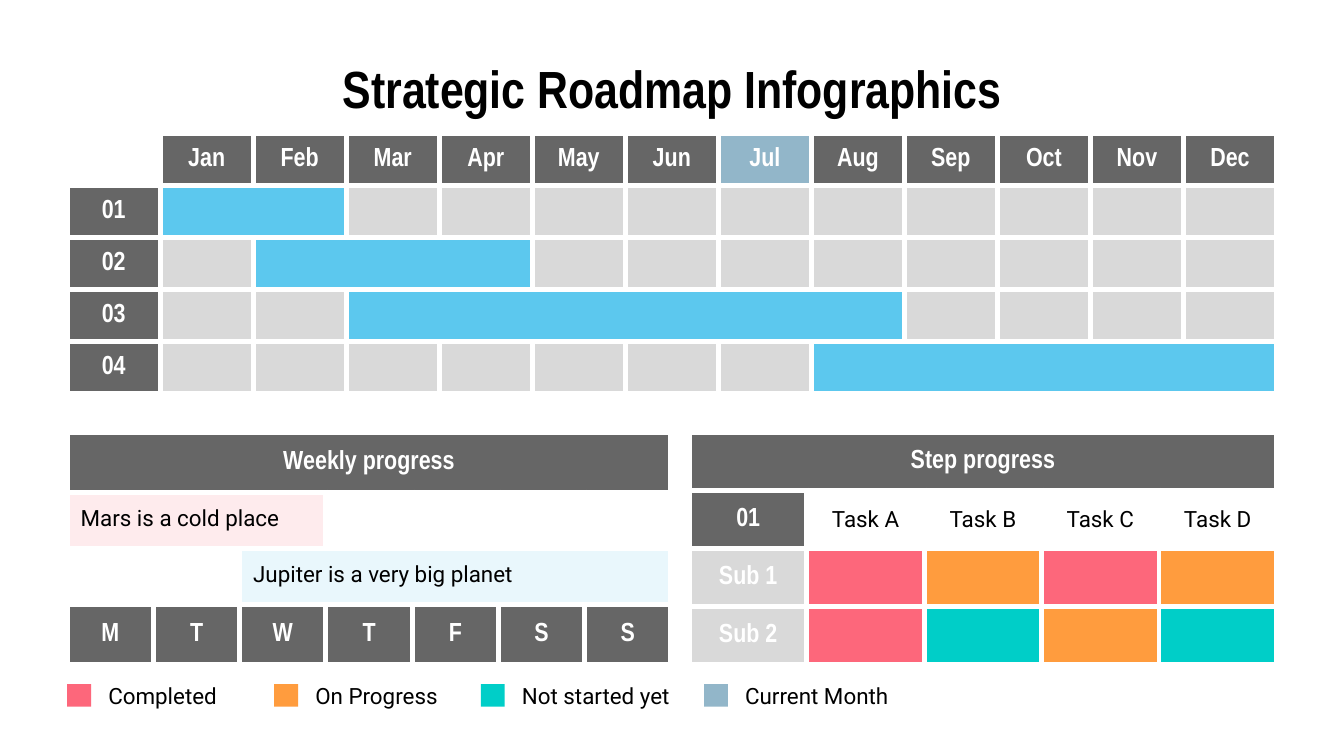
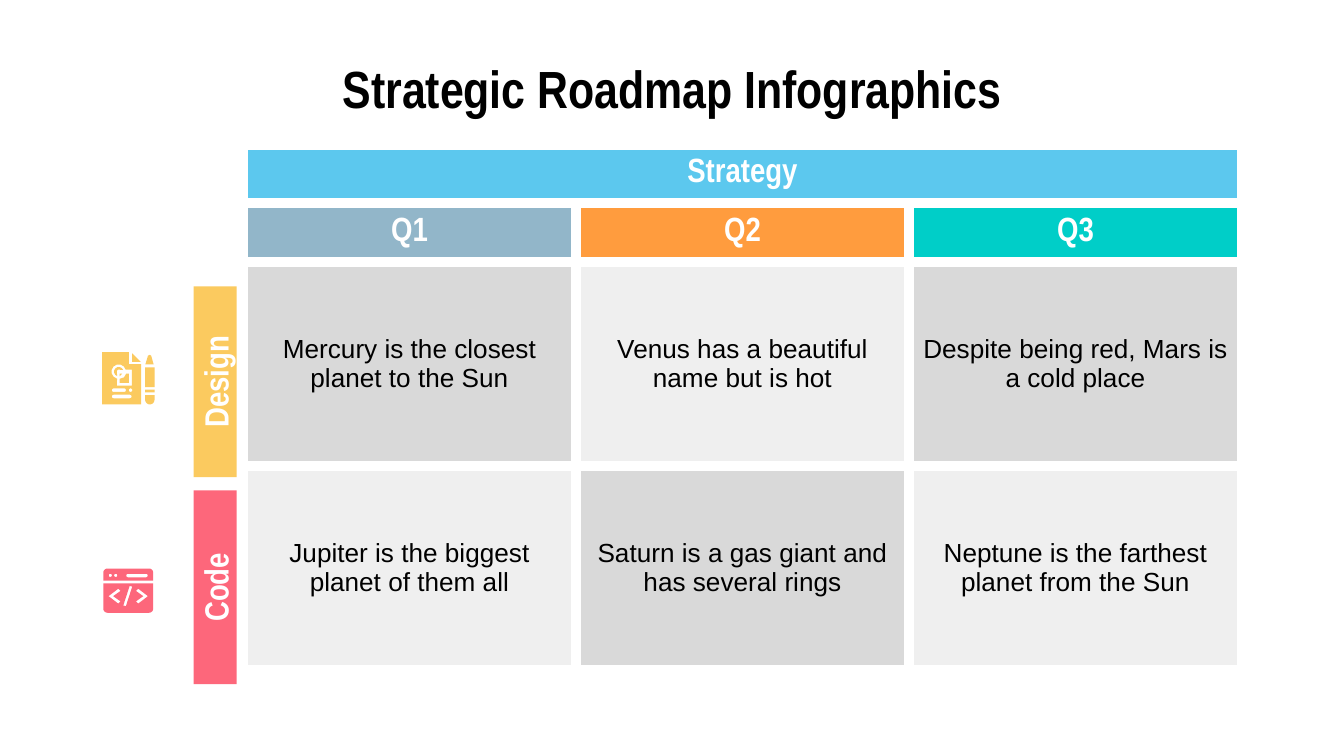
"""Build two slides of a yearly roadmap and a quarterly strategy grid."""
import math
from dataclasses import dataclass
from typing import NamedTuple, Optional

import lxml.etree
import pptx
import pptx.dml.color
import pptx.enum.shapes
import pptx.enum.text
import pptx.oxml
import pptx.oxml.ns
import pptx.util

Pt = pptx.util.Pt
RGBColor = pptx.dml.color.RGBColor
Align = pptx.enum.text.PP_ALIGN
Anchor = pptx.enum.text.MSO_ANCHOR
Preset = pptx.enum.shapes.MSO_SHAPE

WHITE = RGBColor(0xFF, 0xFF, 0xFF)
BLACK = RGBColor(0x00, 0x00, 0x00)
DARK = RGBColor(0x66, 0x66, 0x66)
GREY = RGBColor(0xD9, 0xD9, 0xD9)
PALE = RGBColor(0xEF, 0xEF, 0xEF)
SKY = RGBColor(0x5C, 0xC8, 0xEE)
STEEL = RGBColor(0x92, 0xB6, 0xC9)
PINK = RGBColor(0xFD, 0x67, 0x7B)
ORANGE = RGBColor(0xFF, 0x9C, 0x3E)
TEAL = RGBColor(0x00, 0xCE, 0xC8)
YELLOW = RGBColor(0xFB, 0xCA, 0x5F)

INSET = 7.2
MONTHS = "Jan Feb Mar Apr May Jun Jul Aug Sep Oct Nov Dec".split()

Point = tuple[float, float]
Outline = list[Point]


class Look(NamedTuple):
    font: str
    size: float
    color: RGBColor
    bold: bool = False


TITLE = Look("Arial Narrow", 28, BLACK, True)
HEAD = Look("Arial Narrow", 14, WHITE, True)
LARGE = Look("Arial Narrow", 18, WHITE, True)
NOTE = Look("Roboto", 12, BLACK)
BODY = Look("Arial", 14, BLACK)


class Box(NamedTuple):
    left: float
    top: float
    width: float
    height: float


@dataclass
class Cell:
    text: str = ""
    fill: Optional[RGBColor] = None
    look: Look = HEAD
    span: int = 1
    alpha: int = 100
    align: Align = Align.CENTER
    anchor: Anchor = Anchor.MIDDLE


@dataclass
class Key:
    left: float
    color: RGBColor
    text: str
    width: float


@dataclass
class Stage:
    text: str
    color: RGBColor
    box: Box


def place(shape, box: Box) -> None:
    """Move and size a shape."""
    shape.left, shape.top, shape.width, shape.height = map(Pt, box)


def write(frame, text: str, look: Look, align: Align, anchor: Anchor) -> None:
    """Put one styled paragraph in a text frame."""
    frame.text = text
    frame.word_wrap = True
    frame.auto_size = pptx.enum.text.MSO_AUTO_SIZE.NONE
    frame.vertical_anchor = anchor
    frame.margin_left = frame.margin_right = Pt(INSET)
    frame.margin_top = frame.margin_bottom = Pt(INSET)
    style(frame.paragraphs[0], look, align)


def style(para, look: Look, align: Align) -> None:
    """Set the font and alignment of a paragraph."""
    para.alignment = align
    para.font.name = look.font
    para.font.size = Pt(look.size)
    para.font.bold = look.bold
    para.font.color.rgb = look.color


def paint(shape, color: RGBColor) -> None:
    """Give a shape a flat fill."""
    shape.shadow.inherit = False
    shape.fill.solid()
    shape.fill.fore_color.rgb = color
    shape.line.fill.background()


def start(deck):
    """Add a slide with the shared title."""
    slide = deck.slides.add_slide(deck.slide_layouts[5])
    place(slide.shapes.title, Box(36, 32.4, 648, 29.5))
    write(slide.shapes.title.text_frame, "Strategic Roadmap Infographics",
          TITLE, Align.CENTER, Anchor.MIDDLE)
    return slide


def edge(cell, width: float) -> None:
    """Draw white borders on the four sides of a cell."""
    props = cell._tc.get_or_add_tcPr()
    for spot, side in enumerate(("lnL", "lnR", "lnT", "lnB")):
        line = pptx.oxml.parse_xml(
            f'<a:{side} {pptx.oxml.ns.nsdecls("a")} w="{Pt(width)}">'
            f'<a:solidFill><a:srgbClr val="{WHITE}"/></a:solidFill></a:{side}>')
        props.insert(spot, line)


def fill_cell(cell, data: Cell) -> None:
    """Fill one cell with its colour and text."""
    if data.fill is None:
        cell.fill.background()
    else:
        cell.fill.solid()
        cell.fill.fore_color.rgb = data.fill
        if data.alpha < 100:
            tone = cell._tc.tcPr.find(".//" + pptx.oxml.ns.qn("a:srgbClr"))
            lxml.etree.SubElement(tone, pptx.oxml.ns.qn("a:alpha"),
                                  val=str(data.alpha * 1000))
    pad = Pt(INSET if data.text else 0)
    cell.margin_left = cell.margin_right = pad
    cell.margin_top = cell.margin_bottom = pad
    cell.vertical_anchor = data.anchor
    if data.text:
        cell.text = data.text
    style(cell.text_frame.paragraphs[0], data.look, data.align)


def add_grid(slide, spot: Point, width: float, heights: list[float],
             rows: list[list[Cell]], border: float) -> None:
    """Add a table with equal columns and merged spans."""
    count = sum(cell.span for cell in rows[0])
    table = slide.shapes.add_table(len(rows), count, Pt(spot[0]), Pt(spot[1]),
                                   Pt(width), Pt(sum(heights))).table
    table.first_row = table.horz_banding = False
    for column in table.columns:
        column.width = Pt(width / count)
    for r, (height, row) in enumerate(zip(heights, rows)):
        table.rows[r].height = Pt(height)
        c = 0
        for data in row:
            fill_cell(table.cell(r, c), data)
            for extra in range(c + 1, c + data.span):
                fill_cell(table.cell(r, extra), Cell(fill=data.fill))
            if data.span > 1:
                table.cell(r, c).merge(table.cell(r, c + data.span - 1))
            c += data.span
        for c in range(count):
            edge(table.cell(r, c), border)


def arc(x: float, y: float, radius: float, first: float, last: float) -> Outline:
    """Return points along an arc, with angles in degrees."""
    turns = [math.radians(first + (last - first) * i / 8) for i in range(9)]
    return [(x + radius * math.cos(t), y + radius * math.sin(t)) for t in turns]


def block(x: float, y: float, wide: float, high: float,
          top: float = 0, low: float = 0) -> Outline:
    """Return a box with rounded top and low corners."""
    right, base = x + wide, y + high
    return [*arc(x + top, y + top, top, 180, 270),
            *arc(right - top, y + top, top, 270, 360),
            *arc(right - low, base - low, low, 0, 90),
            *arc(x + low, base - low, low, 90, 180)]


def pill(x: float, y: float, wide: float, high: float = 1.9) -> Outline:
    """Return a bar with round ends."""
    return block(x, y, wide, high, high / 2, high / 2)


def draw(slide, pieces: list[list[Outline]], color: RGBColor) -> None:
    """Draw an icon, each piece an outline followed by its holes."""
    for piece in pieces:
        path = None
        for outline in piece:
            first, *rest = [(x * 100, y * 100) for x, y in outline]
            if path is None:
                path = slide.shapes.build_freeform(*first, scale=Pt(0.01))
            else:
                path.move_to(*first)
            path.add_line_segments(rest, close=True)
        paint(path.convert_to_shape(), color)


def design_icon() -> list[list[Outline]]:
    """Return the pieces of a sketch page and a pencil."""
    page = [(54.7, 188.6), (69.1, 188.6), (69.1, 195.1), (75.6, 195.1),
            (75.6, 216.7), (54.7, 216.7)]
    sketch = [*arc(63.6, 199.1, 3.9, 103, 345), (70.6, 198), (70.6, 206.6),
              (62.6, 206.6)]
    ring = [*arc(63.6, 199.1, 2.5, 110, 340), (63.3, 198), (62.6, 198.6)]
    square = [(67.7, 200.2), (69.1, 200.2), (69.1, 205.2), (64.1, 205.2),
              (64.1, 203), (66.5, 202.2)]
    return [
        [page, sketch, pill(59.9, 208.1, 7.6), pill(69, 208.1, 1.9),
         pill(59.9, 211.5, 10.6)],
        [ring], [square],
        [[(64.1, 200.2), (64.1, 201.6), (65.5, 200.2)]],
        [[(70.8, 189.3), (70.8, 193.9), (75.4, 193.9)]],
        [[(77.9, 195.2), (79.3, 190.6), (80.2, 190.1), (81, 190.6), (82.3, 195.2)]],
        [block(77.8, 196.8, 5, 10.6)],
        [block(77.8, 208.8, 5, 1.4)],
        [block(77.8, 211.7, 5, 5, low=2.5)],
    ]


def code_icon() -> list[list[Outline]]:
    """Return the pieces of a code window."""
    left = [(63.4, 315.4), (58.2, 319.4), (63.4, 323.4), (64.6, 322.2),
            (60.7, 319.4), (64.6, 316.6)]
    right = [(137.5 - x, y) for x, y in left]
    slash = [(69.5, 313.9), (70.9, 314.3), (67.5, 324.8), (66.1, 324.4)]
    return [
        [block(55.4, 304.6, 26.7, 6.5, top=2.2), pill(58.3, 307.4, 1.7, 1.7),
         pill(61.2, 307.4, 1.7, 1.7), pill(67.7, 307.4, 11.5)],
        [block(55.4, 312.5, 26.7, 15.8, low=2.2), left, right, slash],
    ]


def year_slide(deck) -> None:
    """Build the slide with the year, week and step tables."""
    slide = start(deck)
    keys = [Key(36, PINK, "Completed", 87.8), Key(146.9, ORANGE, "On Progress", 87.8),
            Key(257.6, TEAL, "Not started yet", 97.2),
            Key(377.2, STEEL, "Current Month", 97.2)]
    for key in keys:
        label = slide.shapes.add_textbox(0, 0, 0, 0)
        place(label, Box(key.left + 14.9, 366.5, key.width, 12.2))
        write(label.text_frame, key.text, NOTE, Align.LEFT, Anchor.MIDDLE)
        swatch = slide.shapes.add_shape(Preset.RECTANGLE, 0, 0, 0, 0)
        place(swatch, Box(key.left, 366.5, 12.8, 12.2))
        paint(swatch, key.color)

    year = [[Cell()] + [Cell(m, STEEL if m == "Jul" else DARK) for m in MONTHS]]
    for i, (skip, span) in enumerate([(0, 2), (1, 3), (2, 6), (7, 5)], 1):
        year.append([Cell(f"{i:02}", DARK), *[Cell(fill=GREY)] * skip,
                     Cell(fill=SKY, span=span),
                     *[Cell(fill=GREY)] * (12 - skip - span)])
    add_grid(slide, (36, 71.4), 648, [27.9] * 5, year, 3)

    week = [[Cell("Weekly progress", DARK, span=7)],
            [Cell("Mars is a cold place", PINK, NOTE, 3, 13, Align.LEFT, Anchor.TOP),
             *[Cell()] * 4],
            [Cell(), Cell(),
             Cell("Jupiter is a very big planet", SKY, NOTE, 5, 13,
                  Align.LEFT, Anchor.TOP)],
            [Cell(day, DARK) for day in "MTWTFSS"]]
    add_grid(slide, (36, 231.6), 323.6, [32.2, 30, 30, 32.2], week, 3)

    steps = [[Cell("Step progress", DARK, span=5)],
             [Cell("01", DARK), *[Cell(f"Task {t}", look=NOTE) for t in "ABCD"]]]
    for name, tones in [("Sub 1", (PINK, ORANGE, PINK, ORANGE)),
                        ("Sub 2", (PINK, TEAL, ORANGE, TEAL))]:
        steps.append([Cell(name, GREY), *[Cell(fill=tone) for tone in tones]])
    add_grid(slide, (369.4, 231.6), 314.4, [31.1] * 4, steps, 3)


def quarter_slide(deck) -> None:
    """Build the slide with the strategy grid."""
    slide = start(deck)
    for stage in [Stage("Design", YELLOW, Box(64.1, 193, 102.3, 23)),
                  Stage("Code", PINK, Box(63.4, 303.1, 103.7, 23))]:
        tab = slide.shapes.add_shape(Preset.ROUNDED_RECTANGLE, 0, 0, 0, 0)
        place(tab, stage.box)
        tab.adjustments[0] = 0
        tab.rotation = 270
        paint(tab, stage.color)
        write(tab.text_frame, stage.text, LARGE, Align.CENTER, Anchor.MIDDLE)
    draw(slide, code_icon(), PINK)
    draw(slide, design_icon(), YELLOW)

    facts = [["Mercury is the closest planet to the Sun",
              "Venus has a beautiful name but is hot",
              "Despite being red, Mars is a cold place"],
             ["Jupiter is the biggest planet of them all",
              "Saturn is a gas giant and has several rings",
              "Neptune is the farthest planet from the Sun"]]
    rows = [[Cell("Strategy", SKY, LARGE, 3)],
            [Cell(f"Q{i}", tone, LARGE)
             for i, tone in enumerate((STEEL, ORANGE, TEAL), 1)]]
    for r, line in enumerate(facts):
        rows.append([Cell(fact, PALE if (r + c) % 2 else GREY, BODY)
                     for c, fact in enumerate(line)])
    add_grid(slide, (130.2, 77.6), 535.2, [23, 18.7, 109.3, 109.3], rows, 6)


def main() -> None:
    """Build and save the deck."""
    deck = pptx.Presentation()
    deck.slide_width, deck.slide_height = Pt(720), Pt(405)
    year_slide(deck)
    quarter_slide(deck)
    deck.save("out.pptx")


if __name__ == "__main__":
    main()
